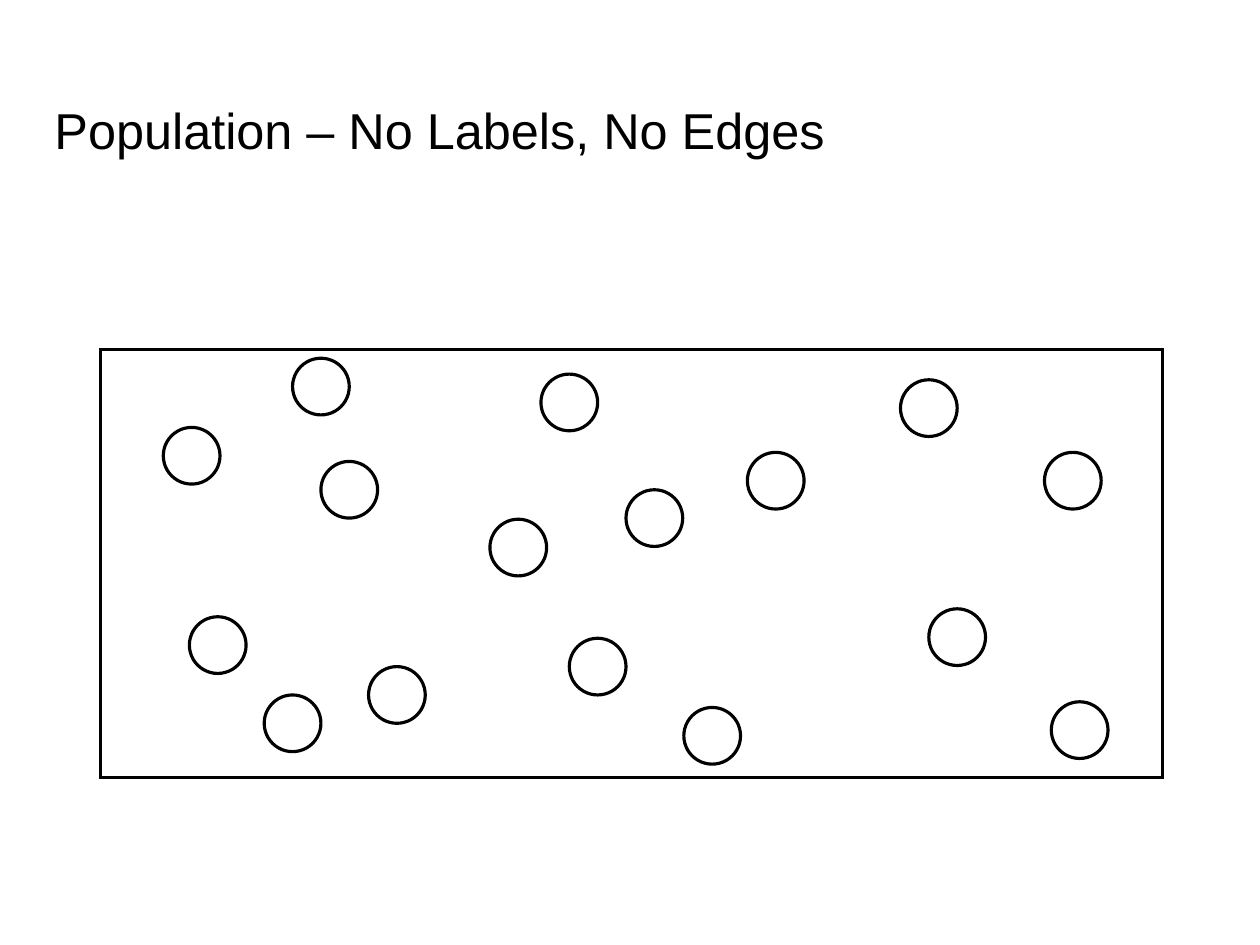
from lxml import etree
from pptx import Presentation
from pptx.dml.color import RGBColor
from pptx.enum.shapes import MSO_SHAPE
from pptx.enum.text import MSO_ANCHOR
from pptx.oxml.ns import qn
from pptx.util import Inches, Pt

RECTANGLE = MSO_SHAPE.RECTANGLE
OVAL = MSO_SHAPE.OVAL
BOTTOM = MSO_ANCHOR.BOTTOM

BLACK = "000000"
WHITE = "FFFFFF"
NODE_SIZE = 0.5
NODE_POSITIONS = [
    (4.32, 4.58), (5.02, 5.63), (5.52, 4.32), (2.83, 4.07),
    (3.25, 5.88), (6.03, 6.24), (4.77, 3.3), (6.59, 3.99),
    (1.44, 3.77), (1.67, 5.44), (2.58, 3.16), (7.94, 3.35),
    (8.19, 5.37), (9.21, 3.99), (9.27, 6.19), (2.33, 6.13),
]


def color(value):
    return RGBColor.from_string(value)


def set_slide_size(presentation, width, height):
    presentation.slide_width = Inches(width)
    presentation.slide_height = Inches(height)
    presentation.element.find(qn("p:sldSz")).attrib.pop("type", None)


def add_title(slide, text, left, top, width, height):
    box = slide.shapes.add_textbox(
        Inches(left), Inches(top), Inches(width), Inches(height))
    frame = box.text_frame
    frame.word_wrap = True
    frame.vertical_anchor = BOTTOM
    frame.margin_left = frame.margin_right = Inches(0)
    frame.margin_top = frame.margin_bottom = Inches(0)
    paragraph = frame.paragraphs[0]
    paragraph.text = text
    paragraph.line_spacing = 0.95
    paragraph.font.name = "Arial"
    paragraph.font.size = Pt(32)
    paragraph.font.color.rgb = color(BLACK)


def add_outlined_shape(slide, kind, left, top, width, height):
    shape = slide.shapes.add_shape(
        kind, Inches(left), Inches(top), Inches(width), Inches(height))
    shape.shadow.inherit = False
    shape.fill.solid()
    shape.fill.fore_color.rgb = color(WHITE)
    shape.line.color.rgb = color(BLACK)
    shape.line.width = Pt(2)
    outline = shape.element.spPr.find(qn("a:ln"))
    etree.SubElement(outline, qn("a:miter"), lim="800000")


def main():
    presentation = Presentation()
    set_slide_size(presentation, 11.11, 8.335)
    slide = presentation.slides.add_slide(presentation.slide_layouts[6])

    add_title(slide, "Population – No Labels, No Edges", 0.48, 0.34, 10.15, 1.08)
    add_outlined_shape(slide, RECTANGLE, 0.89, 3.08, 9.36, 3.78)
    for left, top in NODE_POSITIONS:
        add_outlined_shape(slide, OVAL, left, top, NODE_SIZE, NODE_SIZE)

    presentation.save("out.pptx")


if __name__ == "__main__":
    main()
